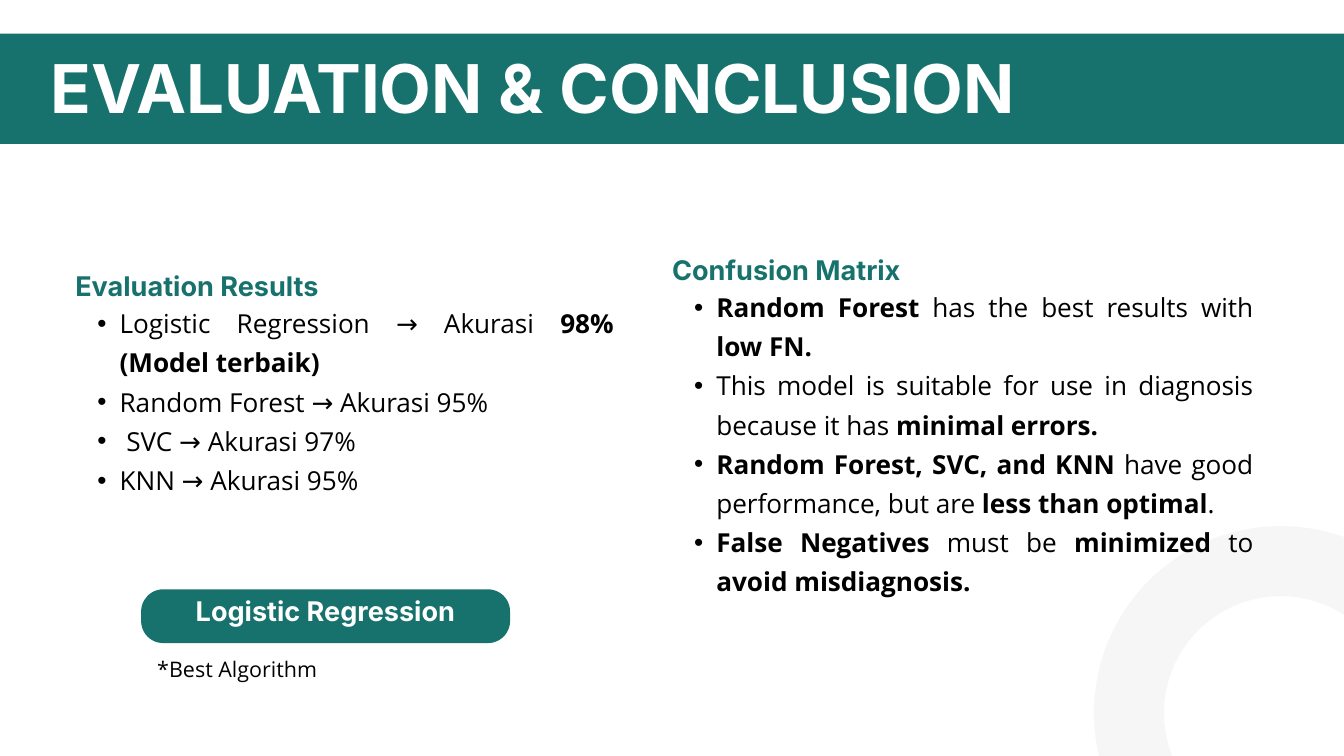
from lxml.etree import SubElement
from pptx import Presentation
from pptx.dml.color import RGBColor
from pptx.enum.shapes import MSO_SHAPE as Shape
from pptx.enum.text import MSO_ANCHOR as Anchor, MSO_AUTO_SIZE as AutoSize, PP_ALIGN as Align
from pptx.oxml.ns import qn
from pptx.util import Pt

EMU_PER_PX = 9144  # 100 px to the inch
TEAL = RGBColor(0x17, 0x72, 0x6D)
PALE_GREY = RGBColor(0xF6, 0xF6, 0xF6)
WHITE = RGBColor(0xFF, 0xFF, 0xFF)
BLACK = RGBColor(0, 0, 0)
HEADING_FONT, BODY_FONT = "Inter", "Open Sans"

# Words between ** are bold.
RESULTS = [
    "Logistic Regression → Akurasi **98% (Model terbaik)**",
    "Random Forest → Akurasi 95%",
    " SVC → Akurasi 97%",
    "KNN → Akurasi 95%",
]
CONFUSION = [
    "**Random Forest** has the best results with **low FN.**",
    "This model is suitable for use in diagnosis because it has **minimal errors.**",
    "**Random Forest, SVC, and KNN** have good performance, but are **less than optimal**.",
    "**False Negatives** must be **minimized** to **avoid misdiagnosis.**",
]


def px(length):
    return length * EMU_PER_PX


def place(shape, left, top, width, height):
    shape.left, shape.top = px(left), px(top)
    shape.width, shape.height = px(width), px(height)


def add_plain_shape(slide, kind, box, fill=None):
    shape = slide.shapes.add_shape(kind, *map(px, box))
    shape.shadow.inherit = False
    shape.line.fill.background()
    if fill is None:
        shape.fill.background()
    else:
        shape.fill.solid()
        shape.fill.fore_color.rgb = fill
    return shape


def prepare_frame(shape, anchor=Anchor.TOP, bottom=0):
    frame = shape.text_frame
    frame.word_wrap = True
    frame.auto_size = AutoSize.NONE
    frame.vertical_anchor = anchor
    frame.margin_left = frame.margin_top = frame.margin_right = 0
    frame.margin_bottom = px(bottom)
    return frame


def add_bullet(paragraph):
    paragraph.level = 1
    properties = paragraph._p.get_or_add_pPr()
    properties.set("marL", str(px(66)))
    properties.set("indent", str(px(-33)))
    SubElement(properties, qn("a:buFont"), typeface="Arial")
    SubElement(properties, qn("a:buChar"), char="•")


def write(paragraph, text, font, size, color, spacing, align=Align.LEFT, bullet=False):
    """Fill a paragraph, with the words between ** in bold."""
    paragraph.alignment = align
    paragraph.line_spacing = Pt(spacing)
    if bullet:
        add_bullet(paragraph)
    paragraph.font.name = font
    paragraph.font.size = Pt(size)
    paragraph.font.color.rgb = color
    for index, part in enumerate(text.split("**")):
        if part:
            run = paragraph.add_run()
            run.text = part
            run.font.bold = index % 2 == 1


def add_text(slide, box, text, *style, **options):
    frame = prepare_frame(slide.shapes.add_textbox(*map(px, box)))
    write(frame.paragraphs[0], text, *style, **options)


def add_section(slide, left, top, width, heading, bullets):
    heading_height, line_height = 53, 58
    add_text(slide, (left, top, width, heading_height), f"**{heading}**",
             HEADING_FONT, 29, TEAL, 40.6)
    box = (left, top + heading_height, width, line_height * 2 * len(bullets))
    frame = prepare_frame(slide.shapes.add_textbox(*map(px, box)))
    for index, text in enumerate(bullets):
        paragraph = frame.add_paragraph() if index else frame.paragraphs[0]
        write(paragraph, text, BODY_FONT, 28, BLACK, 42, Align.JUSTIFY, bullet=True)


def add_title_band(slide, text):
    band = add_plain_shape(slide, Shape.RECTANGLE, (0, 50, 2000, 164), TEAL)
    title = slide.shapes.title
    band.element.addnext(title.element)  # the title stands in front of its band
    place(title, 75, 84, 1516, 108)
    write(prepare_frame(title).paragraphs[0], f"**{text}**", HEADING_FONT, 72, WHITE, 75.6)


def add_corner_ring(slide):
    ring = add_plain_shape(slide, Shape.OVAL, (1680, 835, 452, 452))
    ring.line.color.rgb = PALE_GREY
    ring.line.width = Pt(75)


def add_best_algorithm(slide, name, note):
    pill = add_plain_shape(slide, Shape.ROUNDED_RECTANGLE, (210, 877, 549, 80), TEAL)
    pill.adjustments[0] = 0.41
    frame = prepare_frame(pill, Anchor.MIDDLE, bottom=24)
    write(frame.paragraphs[0], f"**{name}**", HEADING_FONT, 29, WHITE, 40.6, Align.CENTER)
    add_text(slide, (234, 967, 347, 46), note, BODY_FONT, 23, BLACK, 34.5, align=Align.JUSTIFY)


def main():
    deck = Presentation()
    deck.slide_width, deck.slide_height = px(2000), px(1125)
    slide = deck.slides.add_slide(deck.slide_layouts[5])
    add_title_band(slide, "EVALUATION & CONCLUSION")
    add_corner_ring(slide)
    add_section(slide, 112, 393, 801, "Evaluation Results", RESULTS)
    add_section(slide, 1000, 369, 865, "Confusion Matrix", CONFUSION)
    add_best_algorithm(slide, "Logistic Regression", "*Best Algorithm")
    deck.save("out.pptx")


if __name__ == "__main__":
    main()
